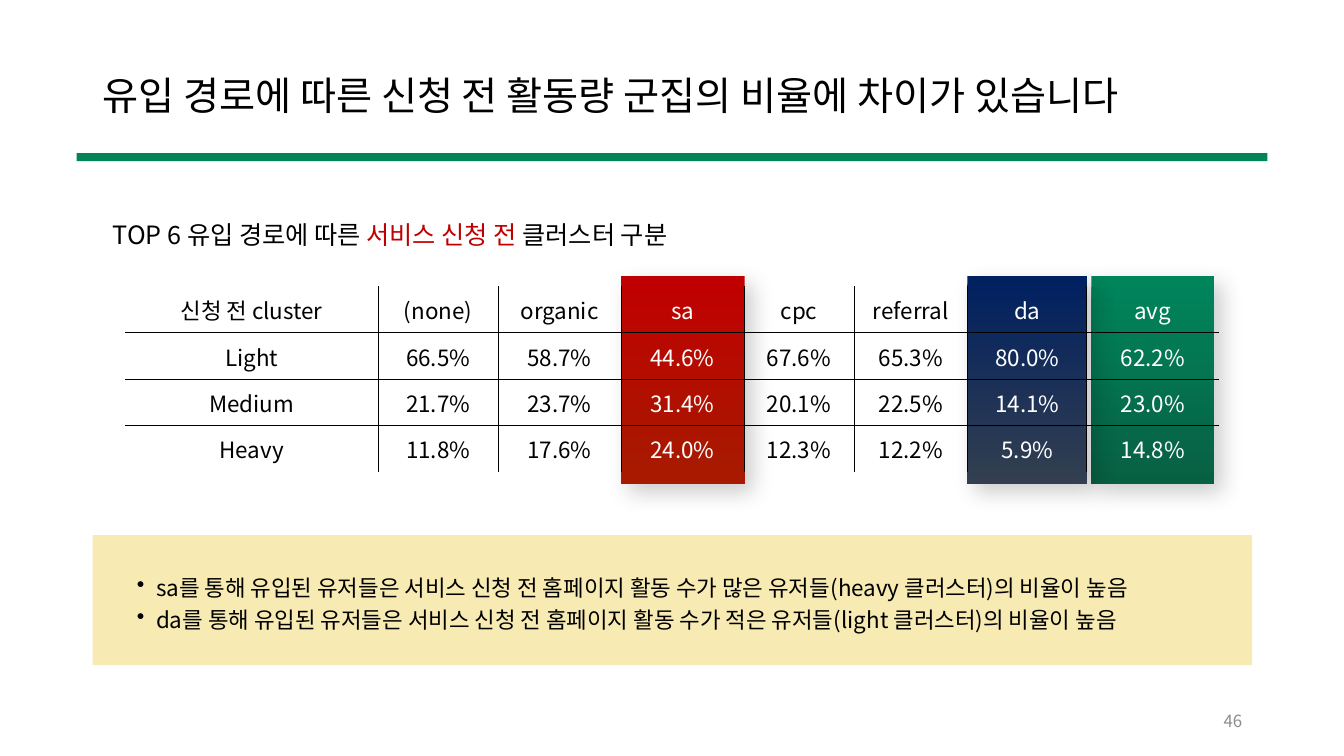
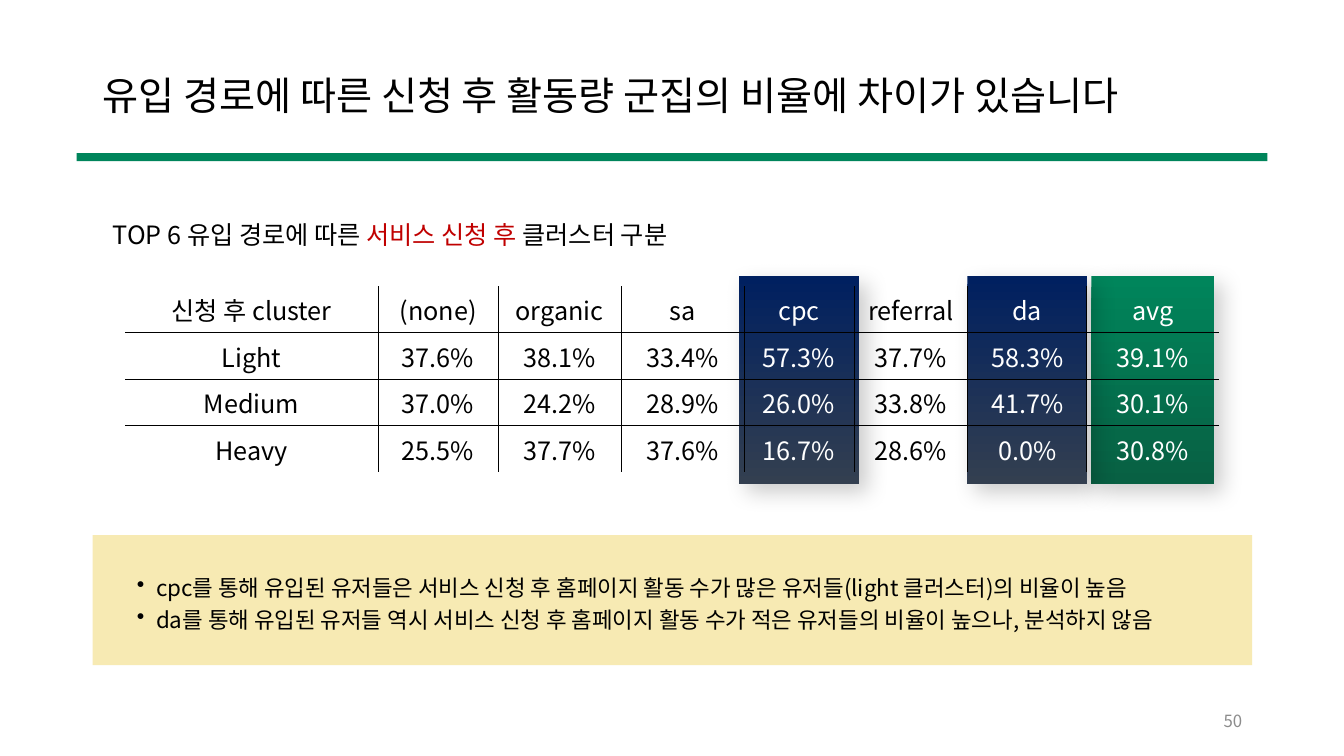
from lxml import etree
from pptx import Presentation
from pptx.dml.color import RGBColor
from pptx.enum.shapes import MSO_SHAPE as SHAPE
from pptx.enum.text import MSO_ANCHOR as ANCHOR, MSO_AUTO_SIZE as AUTO, PP_ALIGN as ALIGN
from pptx.oxml.ns import qn
from pptx.util import Inches, Pt

FONT = "Noto Sans CJK KR"
BLACK, WHITE, GREY = "000000", "FFFFFF", "8C8C8C"
GREEN, RED, SAND = "00855B", "C00000", "F7EAB3"

BANDS = {
    "green": (GREEN, "086043", 1.22),
    "navy": ("002060", "333F50", 1.19),
    "red": (RED, "A71A00", 1.23),
}
BAND_TOP, BAND_HEIGHT = 2.74, 2.06
TABLE_LEFT, TABLE_TOP, ROW_HEIGHT = 1.24, 2.84, 0.46
COLUMN_WIDTHS = [2.51, 1.19, 1.22, 1.22, 1.09, 1.13, 1.18, 1.31]
CHANNELS = ["(none)", "organic", "sa", "cpc", "referral", "da", "avg"]

PAGES = [
    {
        "number": "46",
        "stage": "신청 전",
        "table_size": 16,
        "highlights": {"avg": "green", "da": "navy", "sa": "red"},
        "shares": [
            ("Light", "66.5%", "58.7%", "44.6%", "67.6%", "65.3%", "80.0%", "62.2%"),
            ("Medium", "21.7%", "23.7%", "31.4%", "20.1%", "22.5%", "14.1%", "23.0%"),
            ("Heavy", "11.8%", "17.6%", "24.0%", "12.3%", "12.2%", "5.9%", "14.8%"),
        ],
        "findings": [
            "sa를 통해 유입된 유저들은 서비스 신청 전 홈페이지 활동 수가 많은 유저들(heavy 클러스터)의 비율이 높음",
            "da를 통해 유입된 유저들은 서비스 신청 전 홈페이지 활동 수가 적은 유저들(light 클러스터)의 비율이 높음",
        ],
    },
    {
        "number": "50",
        "stage": "신청 후",
        "table_size": 18,
        "highlights": {"avg": "green", "da": "navy", "cpc": "navy"},
        "shares": [
            ("Light", "37.6%", "38.1%", "33.4%", "57.3%", "37.7%", "58.3%", "39.1%"),
            ("Medium", "37.0%", "24.2%", "28.9%", "26.0%", "33.8%", "41.7%", "30.1%"),
            ("Heavy", "25.5%", "37.7%", "37.6%", "16.7%", "28.6%", "0.0%", "30.8%"),
        ],
        "findings": [
            "cpc를 통해 유입된 유저들은 서비스 신청 후 홈페이지 활동 수가 많은 유저들(light 클러스터)의 비율이 높음",
            "da를 통해 유입된 유저들 역시 서비스 신청 후 홈페이지 활동 수가 적은 유저들의 비율이 높으나, 분석하지 않음",
        ],
    },
]


def rgb(value):
    return RGBColor.from_string(value)


def write(frame, paragraphs, size=16, color=BLACK, align=ALIGN.LEFT, spacing=None, bullet=None):
    for index, runs in enumerate(paragraphs):
        paragraph = frame.add_paragraph() if index else frame.paragraphs[0]
        if bullet:
            properties = paragraph._p.get_or_add_pPr()
            properties.set("marL", str(Inches(0.19)))
            properties.set("indent", str(Inches(-0.19)))
            etree.SubElement(properties, qn("a:buChar"), char=bullet)
        paragraph.alignment = align
        if spacing:
            paragraph.line_spacing = spacing
        for text, run_color in [(runs, color)] if isinstance(runs, str) else runs:
            run = paragraph.add_run()
            run.text = text
            run.font.size = Pt(size)
            run.font.color.rgb = rgb(run_color)
            run.font.name = FONT
            etree.SubElement(run._r.get_or_add_rPr(), qn("a:ea"), typeface=FONT)


def add_text(slide, box, paragraphs, anchor=ANCHOR.TOP, grow=False, **style):
    frame = slide.shapes.add_textbox(*map(Inches, box)).text_frame
    frame.word_wrap = True
    frame.vertical_anchor = anchor
    frame.auto_size = AUTO.SHAPE_TO_FIT_TEXT if grow else AUTO.NONE
    write(frame, paragraphs, **style)


def add_block(slide, box, color):
    block = slide.shapes.add_shape(SHAPE.RECTANGLE, *map(Inches, box))
    block.shadow.inherit = False
    block.line.fill.background()
    block.fill.solid()
    block.fill.fore_color.rgb = rgb(color)
    return block


def add_band(slide, channel, name):
    top_color, bottom_color, width = BANDS[name]
    column = CHANNELS.index(channel) + 1
    center = TABLE_LEFT + sum(COLUMN_WIDTHS[:column]) + COLUMN_WIDTHS[column] / 2
    band = add_block(slide, (center - width / 2, BAND_TOP, width, BAND_HEIGHT), top_color)
    band.fill.gradient()
    band.fill.gradient_angle = 270
    for stop, color in zip(band.fill.gradient_stops, (top_color, bottom_color)):
        stop.color.rgb = rgb(color)
    effects = band._element.spPr.find(qn("a:effectLst"))
    shadow = etree.SubElement(effects, qn("a:outerShdw"), blurRad=str(Pt(16)), dist=str(Pt(8)),
                              dir="2700000", algn="tl", rotWithShape="0")
    shade = etree.SubElement(shadow, qn("a:srgbClr"), val=BLACK)
    etree.SubElement(shade, qn("a:alpha"), val="20000")


def set_borders(cell, visible):
    properties = cell._tc.get_or_add_tcPr()
    for index, side in enumerate("LRTB"):
        border = etree.Element(qn(f"a:ln{side}"), w=str(Pt(0.5)))
        if visible[side]:
            fill = etree.SubElement(border, qn("a:solidFill"))
            etree.SubElement(fill, qn("a:srgbClr"), val=BLACK)
        else:
            etree.SubElement(border, qn("a:noFill"))
        properties.insert(index, border)


def add_share_table(slide, page):
    rows = [(f"{page['stage']} cluster", *CHANNELS), *page["shares"]]
    last_row, last_column = len(rows) - 1, len(COLUMN_WIDTHS) - 1
    box = (TABLE_LEFT, TABLE_TOP, sum(COLUMN_WIDTHS), ROW_HEIGHT * len(rows))
    table = slide.shapes.add_table(len(rows), len(COLUMN_WIDTHS), *map(Inches, box)).table
    table.first_row = table.horz_banding = False
    for column, width in zip(table.columns, COLUMN_WIDTHS):
        column.width = Inches(width)
    for r, values in enumerate(rows):
        table.rows[r].height = Inches(ROW_HEIGHT)
        for c, value in enumerate(values):
            cell = table.cell(r, c)
            cell.fill.background()
            cell.vertical_anchor = ANCHOR.MIDDLE
            cell.margin_left = cell.margin_right = cell.margin_top = Inches(0.01)
            cell.margin_bottom = 0
            color = WHITE if rows[0][c] in page["highlights"] else BLACK
            write(cell.text_frame, [value], size=page["table_size"], color=color, align=ALIGN.CENTER)
            set_borders(cell, {"L": c > 0, "R": c < last_column, "T": r > 0, "B": r < last_row})


def add_page(deck, page):
    slide = deck.slides.add_slide(deck.slide_layouts[6])
    stage = page["stage"]
    for channel, name in page["highlights"].items():
        add_band(slide, channel, name)
    add_block(slide, (0.76, 1.52, 11.81, 0.08), GREEN)
    add_text(slide, (9.42, 6.95, 3, 0.4), [page["number"]], anchor=ANCHOR.MIDDLE,
             size=12, color=GREY, align=ALIGN.RIGHT)
    add_text(slide, (0.92, 0.56, 11.5, 0.83),
             [f"유입 경로에 따른 {stage} 활동량 군집의 비율에 차이가 있습니다"],
             anchor=ANCHOR.MIDDLE, size=28, spacing=0.9)
    add_share_table(slide, page)
    subtitle = [("TOP 6 유입 경로에 따른 ", BLACK), (f"서비스 {stage}", RED), (" 클러스터 구분", BLACK)]
    add_text(slide, (1.02, 2.13, 6.11, 0.41), [subtitle], grow=True, size=18)
    add_block(slide, (0.92, 5.31, 11.5, 1.29), SAND)
    add_text(slide, (1.26, 5.59, 10.79, 0.73), page["findings"], grow=True, spacing=1.2, bullet="•")


def main():
    deck = Presentation()
    deck.slide_width, deck.slide_height = Inches(13.33), Inches(7.5)
    for page in PAGES:
        add_page(deck, page)
    deck.save("out.pptx")


if __name__ == "__main__":
    main()
